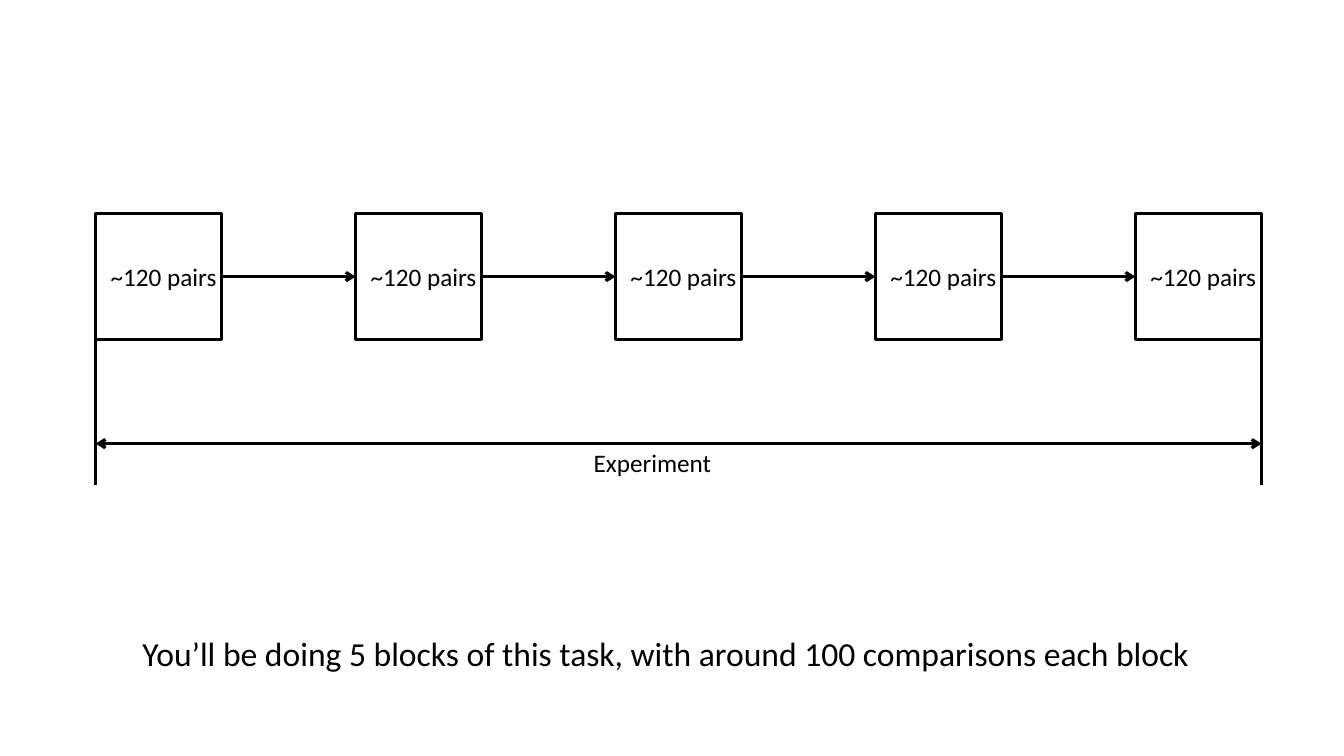
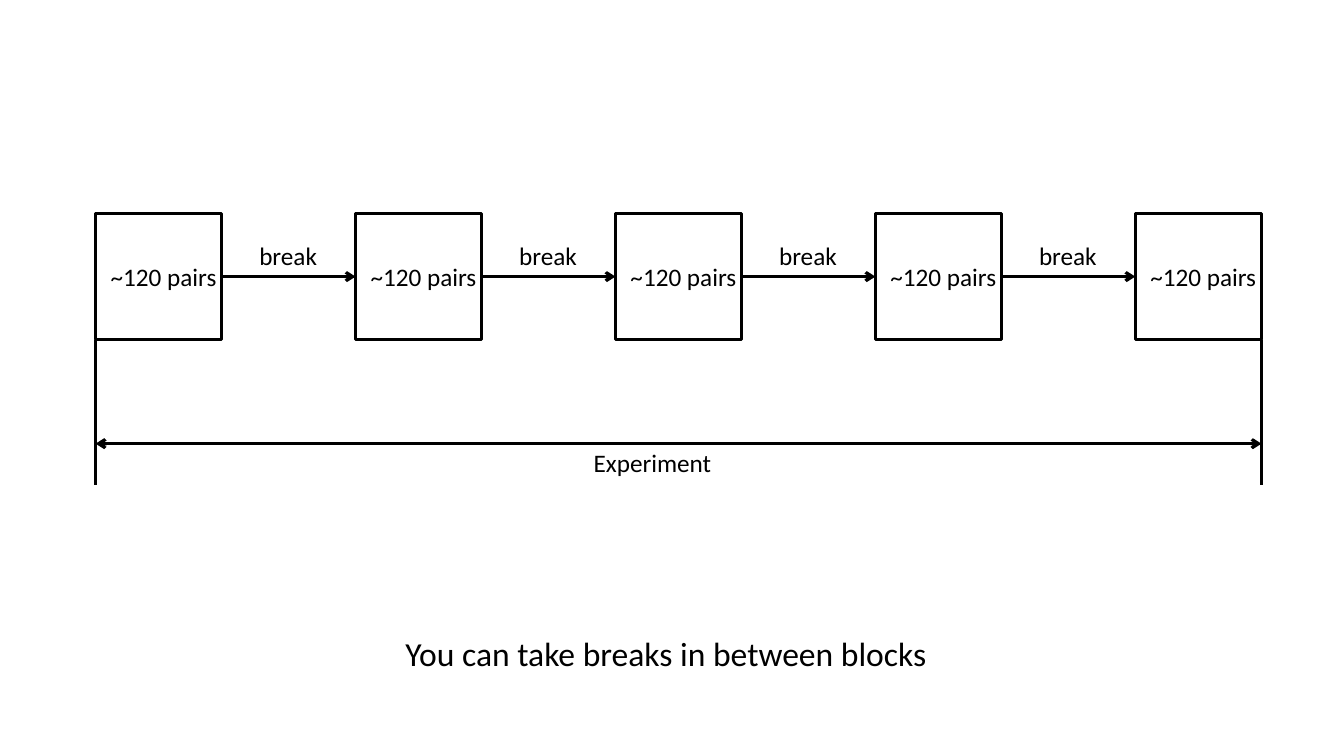
from lxml import etree
from pptx import Presentation
from pptx.dml.color import RGBColor
from pptx.enum.shapes import MSO_CONNECTOR, MSO_SHAPE
from pptx.enum.text import MSO_ANCHOR, MSO_AUTO_SIZE, PP_ALIGN
from pptx.oxml.ns import qn
from pptx.util import Cm, Pt

STRAIGHT = MSO_CONNECTOR.STRAIGHT
RECT = MSO_SHAPE.RECTANGLE
TOP, MIDDLE = MSO_ANCHOR.TOP, MSO_ANCHOR.MIDDLE
NO_FIT = MSO_AUTO_SIZE.NONE
LEFT, CENTER = PP_ALIGN.LEFT, PP_ALIGN.CENTER

BLACK = RGBColor.from_string("000000")
LINE_WIDTH = Pt(2.25)
BLOCKS = 5
SIDE, PITCH = 3.18, 6.55
X0, Y0 = 2.41, 5.38
X_END = X0 + (BLOCKS - 1) * PITCH + SIDE
Y_MID, Y_BOTTOM = Y0 + SIDE / 2, Y0 + SIDE
Y_SPAN, Y_DROP = 11.18, 12.22
CAPTION_CENTER = 16.78
BREAK_WIDTH = 1.98
FRAME = {"word_wrap": False, "auto_size": NO_FIT, "vertical_anchor": TOP}
BLOCK_FRAME = {"word_wrap": True, "vertical_anchor": MIDDLE,
               "margin_left": Cm(0.38), "margin_right": 0}

SLIDES = [
    ("You’ll be doing 5 blocks of this task, with around 100 comparisons each block", 27.1, ""),
    ("You can take breaks in between blocks", 13.77, "break"),
]


def write(sp, text, size=18, align=LEFT, frame=FRAME):
    tf = sp.text_frame
    for name, value in frame.items():
        setattr(tf, name, value)
    p = tf.paragraphs[0]
    p.alignment = align
    r = p.add_run()
    r.text = text
    for name, value in {"name": "Calibri", "size": Pt(size), "bold": False}.items():
        setattr(r.font, name, value)
    r.font.color.rgb = BLACK


def add_line(s, x1, y1, x2, y2, ends=()):
    line = s.shapes.add_connector(STRAIGHT, Cm(x1), Cm(y1), Cm(x2), Cm(y2))
    line.line.color.rgb = BLACK
    line.line.width = LINE_WIDTH
    sp_pr = line._element.spPr
    for end in ends:
        etree.SubElement(sp_pr.find(qn("a:ln")), qn(end), type="arrow")
    etree.SubElement(sp_pr, qn("a:effectLst"))
    return line


prs = Presentation()
prs.slide_width, prs.slide_height = Cm(33.87), Cm(19.05)

for caption, caption_width, break_label in SLIDES:
    s = prs.slides.add_slide(prs.slide_layouts[5])
    title = s.shapes.title
    title.left, title.top = Cm(CAPTION_CENTER - caption_width / 2), Cm(15.82)
    title.width, title.height = Cm(caption_width), Cm(1.27)
    write(title, caption, 24, CENTER)

    blocks = []
    for i in range(BLOCKS):
        sp = s.shapes.add_shape(RECT, Cm(X0 + i * PITCH), Cm(Y0), Cm(SIDE), Cm(SIDE))
        sp.shadow.inherit = False
        sp.fill.background()
        sp.line.color.rgb = BLACK
        sp.line.width = LINE_WIDTH
        write(sp, "~120 pairs", frame=BLOCK_FRAME)
        blocks.append(sp)

    for i in range(BLOCKS - 1):
        gap_left, gap_right = X0 + i * PITCH + SIDE, X0 + (i + 1) * PITCH
        arrow = add_line(s, gap_left, Y_MID, gap_right, Y_MID, ["a:tailEnd"])
        arrow.begin_connect(blocks[i], 3)
        arrow.end_connect(blocks[i + 1], 1)
        if break_label:
            label_left = (gap_left + gap_right - BREAK_WIDTH) / 2
            label = s.shapes.add_textbox(Cm(label_left), Cm(5.92), Cm(BREAK_WIDTH), Cm(1.02))
            write(label, break_label)

    for x in (X0, X_END):
        add_line(s, x, Y_BOTTOM, x, Y_DROP)
    add_line(s, X0, Y_SPAN, X_END, Y_SPAN, ["a:headEnd", "a:tailEnd"])
    write(s.shapes.add_textbox(Cm(14.71), Cm(11.15), Cm(3.51), Cm(1.02)), "Experiment")

prs.save("out.pptx")
